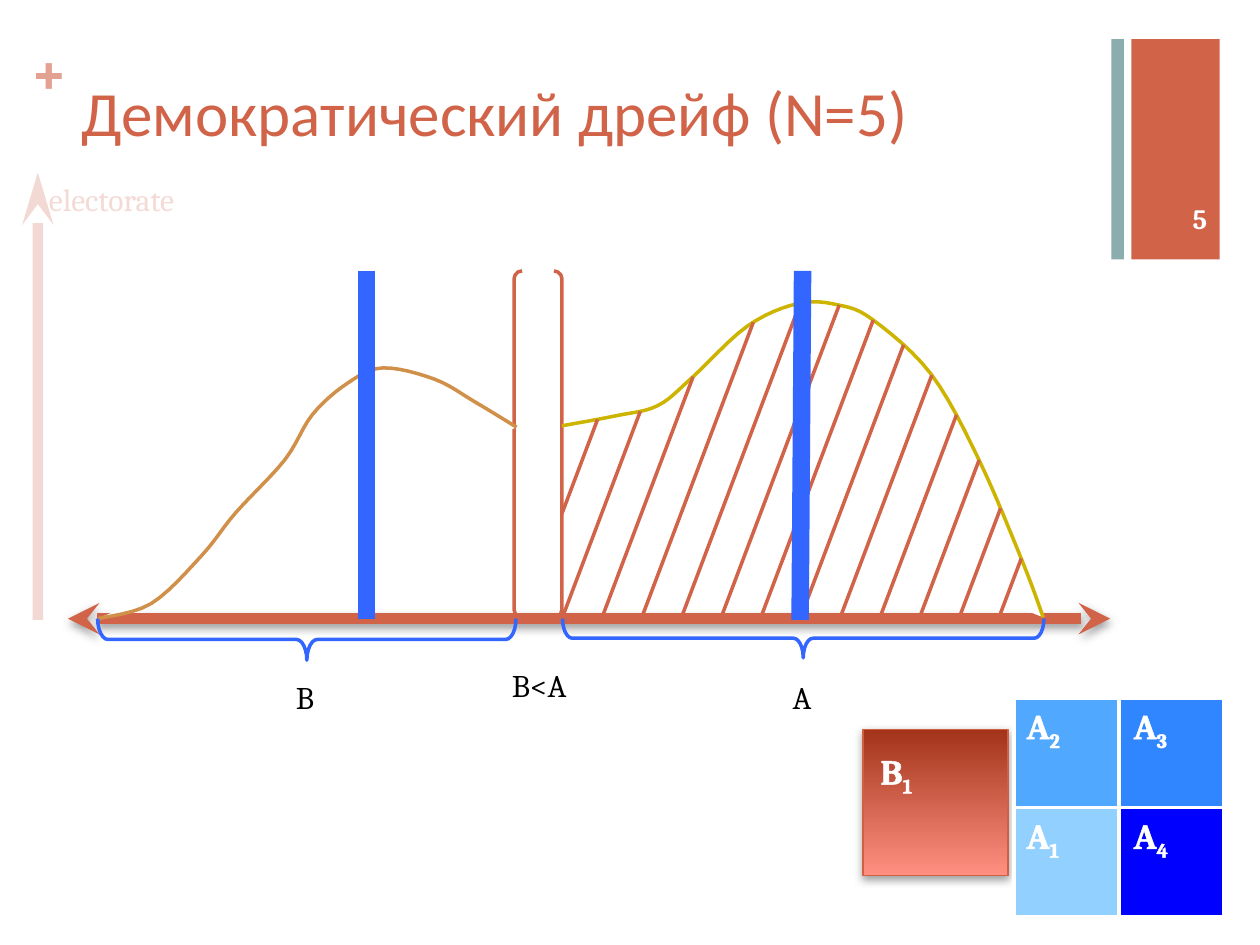
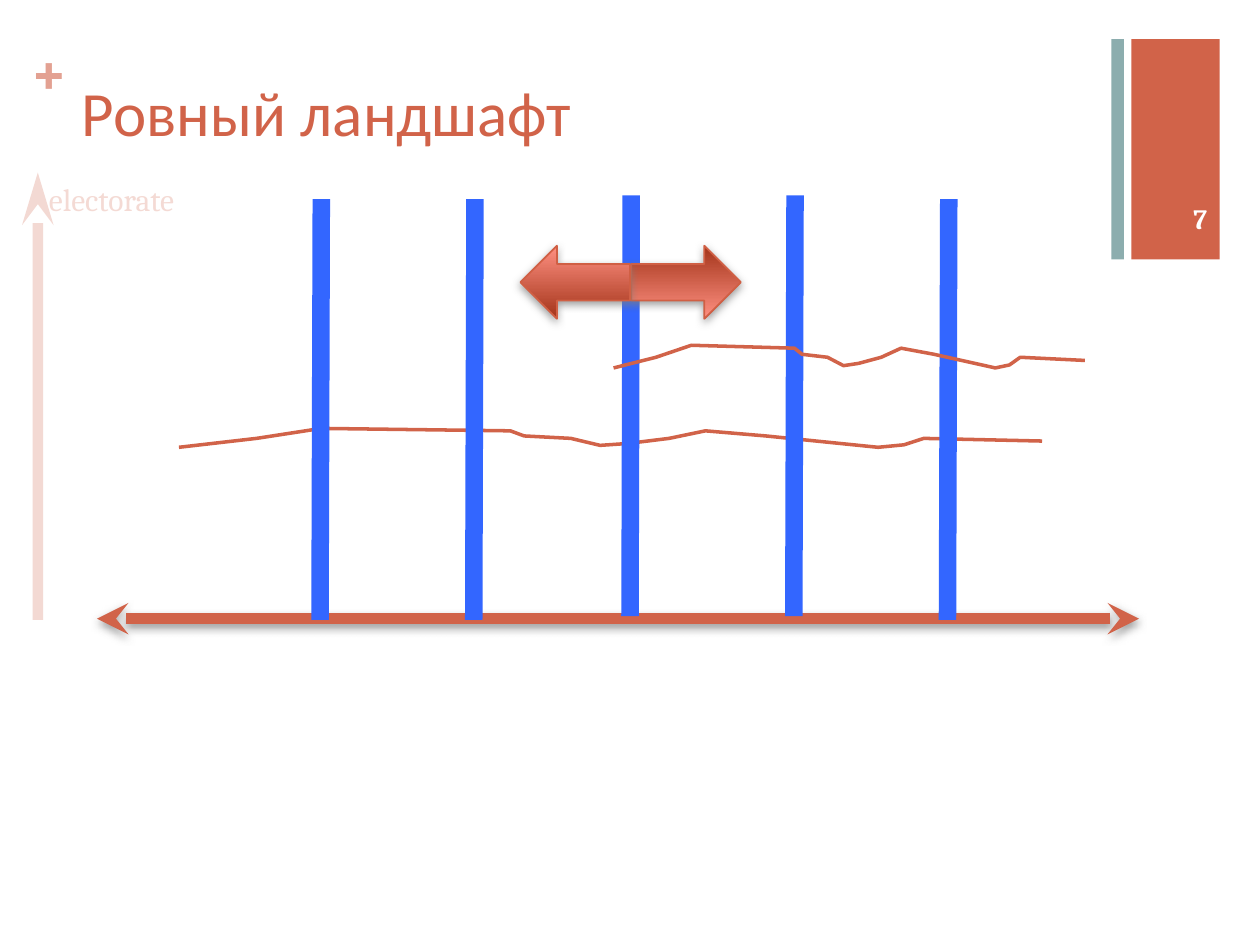
from dataclasses import dataclass
from lxml import etree
from pptx import Presentation
from pptx.dml.color import RGBColor
from pptx.enum.shapes import MSO_CONNECTOR, MSO_SHAPE
from pptx.enum.text import MSO_ANCHOR, PP_ALIGN
from pptx.oxml import parse_xml
from pptx.oxml.ns import qn
from pptx.util import Inches, Pt


@dataclass(frozen=True)
class Theme:
    accent: str = "D16349"
    teal: str = "8CADAE"
    plus: str = "E3A192"
    faded: str = "F4DAD4"
    bar: str = "3366FF"
    edge: str = "D05F44"
    dark: str = "A3341A"
    light: str = "FF9081"
    white: str = "FFFFFF"
    black: str = "000000"
    left_hill: str = "D19049"
    right_hill: str = "CCB400"
    heading_font: str = "Calibri"
    body_font: str = "Cambria"
    title_size: int = 36
    party_size: int = 20
    label_size: int = 18
    number_size: int = 16
    thin: int = 2
    axis: int = 6
    thick: int = 10


THEME = Theme()
DRAWING = "http://schemas.openxmlformats.org/drawingml/2006/main"

DRIFT = {"title": "Демократический дрейф (N=5)", "number": "5"}
FLAT = {"title": "Ровный ландшафт", "number": "7"}

GROUND = 4.91
AXIS_LENGTH = 8.27

LEFT_HILL = [(0.78, 4.91), (1.2, 4.79), (1.6, 4.41), (1.87, 4.07),
             (2.26, 3.65), (2.48, 3.29), (2.76, 3.04), (3.04, 2.92),
             (3.45, 3.01), (3.77, 3.19), (4.1, 3.39)]
RIGHT_HILL = [(4.46, 3.38), (4.89, 3.3), (5.22, 3.22), (5.49, 3),
              (5.93, 2.59), (6.33, 2.41), (6.65, 2.42), (6.93, 2.54),
              (7.39, 2.97), (7.77, 3.65), (8.12, 4.47), (8.28, 4.9)]
STEPS_PER_KNOT = 6

HATCH_STEP = 0.315
HATCH_SLANT = 0.378
HATCHES = range(-1, 12)

WAVE_PERCENT = [(0, 100), (9, 53), (16.5, 0), (38.4, 13), (40, 40), (45.4, 53),
                (48.8, 90), (52, 80), (56.8, 53), (61, 13), (68, 40),
                (81, 100), (84, 87), (86.3, 53), (100, 67)]
LOWER_WAVE = (1.42, 3.4, 6.85, 0.15)
UPPER_WAVE = (4.87, 2.74, 3.74, 0.18)

DRIFT_BARS = [((6.37, 2.15), (6.35, 4.92)), ((2.91, 2.15), (2.91, 4.91))]
FLAT_BARS = [(5.01, 1.55), (7.53, 1.58), (6.31, 1.55), (3.77, 1.58), (2.55, 1.58)]
FLAT_BAR_HEIGHT, FLAT_BAR_LEAN = 3.34, 0.01
DRIFT_ARROWS = [(5.01, 0), (4.13, 180)]

BRACES = [(4.465, 3.82, 0.31), (0.775, 3.32, 0.33)]
RANGE_LABELS = [("A", (6.05, 5.33, 0.63, 0.4), PP_ALIGN.CENTER),
                ("B", (2.25, 5.33, 0.66, 0.4), PP_ALIGN.LEFT),
                ("B<A", (3.78, 5.24, 1, 0.4), PP_ALIGN.CENTER)]
PARTY_GRID = [[("2", "51A8FF"), ("3", "2F86FF")],
              [("1", "92D1FF"), ("4", "0000FF")]]
GRID_LEFT, GRID_TOP, CELL_WIDTH, CELL_HEIGHT = 8.05, 5.54, 0.83, 0.87


def box(at):
    return [Inches(value) for value in at]


def rgb(color):
    return RGBColor.from_string(color)


def spline(before, start, end, after, t):
    return (start + (end - before) * t / 2
            + (2 * before - 5 * start + 4 * end - after) * t ** 2 / 2
            + (3 * start - before - 3 * end + after) * t ** 3 / 2)


def smooth_through(knots):
    padded = [knots[0], *knots, knots[-1]]
    points = []
    for four_knots in zip(padded, padded[1:], padded[2:], padded[3:]):
        xs, ys = zip(*four_knots)
        for step in range(STEPS_PER_KNOT):
            t = step / STEPS_PER_KNOT
            points.append((spline(*xs, t), spline(*ys, t)))
    return points + [knots[-1]]


def wave_in(area):
    left, top, width, height = area
    return [(left + width * x / 100, top + height * y / 100) for x, y in WAVE_PERCENT]


def slide_down_to_ground(point):
    x, y = point
    return x - HATCH_SLANT * (GROUND - y)


def hatch_lines(hill):
    wall = hill[0][0]
    for index in HATCHES:
        foot = wall + index * HATCH_STEP
        for start, end in zip(hill, hill[1:]):
            start_foot, end_foot = slide_down_to_ground(start), slide_down_to_ground(end)
            if start_foot <= foot < end_foot:
                share = (foot - start_foot) / (end_foot - start_foot)
                top = tuple(a + share * (b - a) for a, b in zip(start, end))
                cut = max(wall - foot, 0)
                yield top, (foot + cut, GROUND - cut / HATCH_SLANT)
                break


def add_effects(properties, shadow=False):
    effects = etree.SubElement(properties, qn("a:effectLst"))
    if shadow:
        effects.append(parse_xml(
            f'<a:outerShdw xmlns:a="{DRAWING}" blurRad="63500" dist="25400" '
            'dir="5400000" rotWithShape="0"><a:srgbClr val="808080">'
            '<a:alpha val="75000"/></a:srgbClr></a:outerShdw>'))


def add_text(slide, text, at=None, holder=None, size=THEME.label_size, color=THEME.black,
             font=THEME.body_font, bold=False, align=PP_ALIGN.LEFT, inset=None,
             subscript="", outlined=False):
    holder = holder or slide.shapes.add_textbox(*box(at))
    frame = holder.text_frame
    frame.word_wrap = True
    frame.vertical_anchor = MSO_ANCHOR.TOP
    if inset is not None:
        frame.margin_left = frame.margin_right = Inches(inset)
        frame.margin_top = frame.margin_bottom = Inches(inset)
    paragraph = frame.paragraphs[0]
    paragraph.alignment = align
    for words in filter(None, (text, subscript)):
        run = paragraph.add_run()
        run.text = words
        run.font.size, run.font.name, run.font.bold = Pt(size), font, bold
        run.font.color.rgb = rgb(color)
        properties = run._r.get_or_add_rPr()
        if words == subscript:
            properties.set("baseline", "-25000")
        if outlined:
            properties.insert(0, parse_xml(
                f'<a:ln xmlns:a="{DRAWING}" w="9525"><a:solidFill>'
                f'<a:srgbClr val="{color}"/></a:solidFill></a:ln>'))


def style(shape, fill=None, line=None, width=THEME.thin):
    shape.shadow.inherit = False
    if fill:
        shape.fill.solid()
        shape.fill.fore_color.rgb = rgb(fill)
    else:
        shape.fill.background()
    if line:
        shape.line.color.rgb = rgb(line)
        shape.line.width = Pt(width)
    else:
        shape.line.fill.background()
    return shape


def add_preset(slide, kind, at, rotation=0, **look):
    shape = style(slide.shapes.add_shape(kind, *box(at)), **look)
    shape.rotation = rotation
    return shape


def add_glossy(slide, kind, at, rotation=0):
    shape = add_preset(slide, kind, at, rotation, line=THEME.edge, width=1)
    shape.fill.gradient()
    shape.fill.gradient_angle = 270
    for stop, color in zip(shape.fill.gradient_stops, (THEME.dark, THEME.light)):
        stop.color.rgb = rgb(color)
    properties = shape._element.spPr
    properties.remove(properties.find(qn("a:effectLst")))
    add_effects(properties, shadow=True)


def add_line(slide, start, end, color=THEME.accent, width=THEME.thin,
             heads=(), head_length="med", shadow=False, opacity=None):
    line = slide.shapes.add_connector(MSO_CONNECTOR.STRAIGHT, *box(start + end))
    line.line.color.rgb = rgb(color)
    line.line.width = Pt(width)
    stroke = line.line._get_or_add_ln()
    if opacity:
        tint = stroke.find(".//" + qn("a:srgbClr"))
        etree.SubElement(tint, qn("a:alpha")).set("val", str(opacity * 1000))
    for head in heads:
        arrowhead = etree.SubElement(stroke, qn(f"a:{head}"))
        arrowhead.set("type", "stealth")
        arrowhead.set("len", head_length)
    add_effects(line._element.spPr, shadow)


def add_bar(slide, top, foot):
    add_line(slide, top, foot, color=THEME.bar, width=THEME.thick)


def add_curve(slide, points, color, fill=None):
    start, *rest = [tuple(box(point)) for point in points]
    builder = slide.shapes.build_freeform(*start)
    builder.add_line_segments(rest, close=False)
    style(builder.convert_to_shape(), fill=fill, line=color)


def add_axis(slide, left):
    add_line(slide, (left, GROUND), (left + AXIS_LENGTH, GROUND), width=THEME.axis,
             heads=("headEnd", "tailEnd"), shadow=True)


def add_brace(slide, left, span, depth):
    at = (left + (span - depth) / 2, GROUND + (depth - span) / 2, depth, span)
    brace = add_preset(slide, MSO_SHAPE.LEFT_BRACE, at, 270, line=THEME.bar)
    brace.adjustments[0] = 0.25


def add_party(slide, letter, index, left, top):
    add_text(slide, letter, (left, top, 0.73, 0.74), size=THEME.party_size,
             color=THEME.white, bold=True, subscript=index, outlined=True)


def add_party_grid(slide):
    for row, cells in enumerate(PARTY_GRID):
        for column, (index, color) in enumerate(cells):
            left, top = GRID_LEFT + column * CELL_WIDTH, GRID_TOP + row * CELL_HEIGHT
            add_preset(slide, MSO_SHAPE.RECTANGLE, (left, top, CELL_WIDTH, CELL_HEIGHT),
                       fill=color, line=THEME.white)
            add_party(slide, "A", index, left + column * 0.02, top)


def start_slide(deck, content):
    slide = deck.slides.add_slide(deck.slide_layouts[5])
    title = slide.shapes.title
    title.left, title.top, title.width, title.height = box((0.55, 0.53, 8.26, 1.22))
    add_text(slide, content["title"], holder=title, size=THEME.title_size,
             color=THEME.accent, font=THEME.heading_font)
    add_preset(slide, MSO_SHAPE.RECTANGLE, (8.98, 0.31, 0.7, 1.75), fill=THEME.accent)
    add_preset(slide, MSO_SHAPE.RECTANGLE, (8.82, 0.31, 0.1, 1.75), fill=THEME.teal)
    add_text(slide, "+", (0.24, 0.25, 0.29, 0.61), size=THEME.title_size,
             color=THEME.plus, bold=True, inset=0)
    add_text(slide, content["number"], (9.25, 1.55, 0.43, 0.37), size=THEME.number_size,
             color=THEME.white, bold=True, align=PP_ALIGN.RIGHT)
    add_line(slide, (0.3, 4.92), (0.3, 1.37), width=THEME.axis,
             heads=("tailEnd",), head_length="lg", opacity=24)
    add_text(slide, "electorate", (0.29, 1.38, 1.4, 0.4), color=THEME.faded)
    return slide


def build_drift(deck):
    slide = start_slide(deck, DRIFT)
    right_hill = smooth_through(RIGHT_HILL)
    add_axis(slide, 0.54)
    add_preset(slide, MSO_SHAPE.DOUBLE_BRACKET, (4.08, 2.15, 0.38, 2.75), line=THEME.accent)
    add_curve(slide, smooth_through(LEFT_HILL), THEME.left_hill, THEME.white)
    add_curve(slide, right_hill, THEME.right_hill, THEME.white)
    for top, foot in hatch_lines(right_hill):
        add_line(slide, top, foot)
    for top, foot in DRIFT_BARS:
        add_bar(slide, top, foot)
    for left, span, depth in BRACES:
        add_brace(slide, left, span, depth)
    for text, at, align in RANGE_LABELS:
        add_text(slide, text, at, align=align)
    add_glossy(slide, MSO_SHAPE.RECTANGLE, (6.85, 5.79, 1.15, 1.16))
    add_party(slide, "B", "1", 6.89, 5.9)
    add_party_grid(slide)


def build_flat(deck):
    slide = start_slide(deck, FLAT)
    add_axis(slide, 0.77)
    add_curve(slide, wave_in(LOWER_WAVE), THEME.accent)
    for left, top in FLAT_BARS:
        add_bar(slide, (left, top), (left - FLAT_BAR_LEAN, top + FLAT_BAR_HEIGHT))
    for left, rotation in DRIFT_ARROWS:
        add_glossy(slide, MSO_SHAPE.RIGHT_ARROW, (left, 1.95, 0.87, 0.58), rotation)
    add_curve(slide, wave_in(UPPER_WAVE), THEME.accent)


deck = Presentation()
deck.slide_width, deck.slide_height = Inches(10), Inches(7.5)
build_drift(deck)
build_flat(deck)
deck.save("out.pptx")
